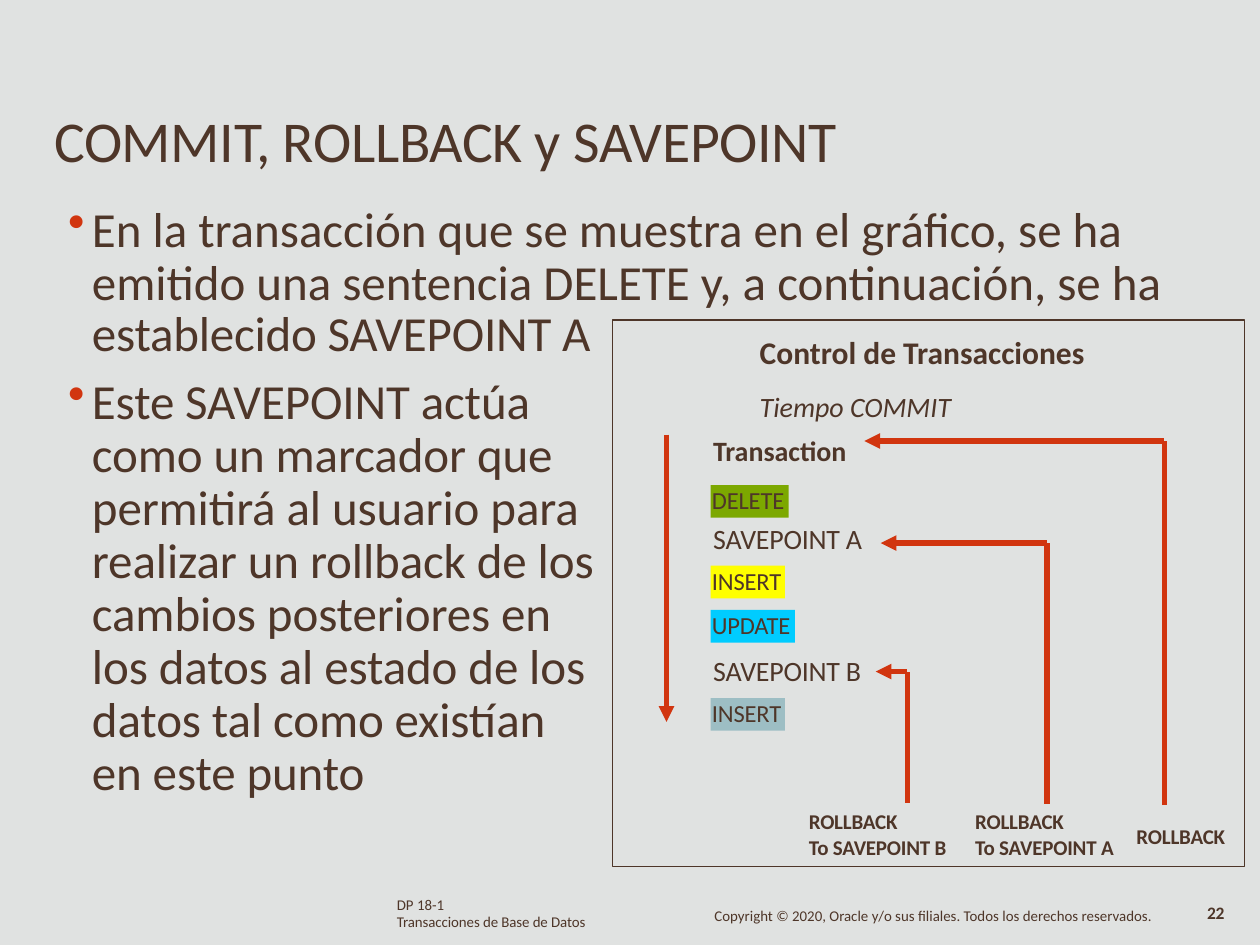
"""Build the slide on COMMIT, ROLLBACK and SAVEPOINT."""
import pptx
import pptx.dml.color
import pptx.enum.shapes
import pptx.enum.text
import pptx.oxml.ns
import pptx.util
from lxml import etree

Inches = pptx.util.Inches
Pt = pptx.util.Pt
qn = pptx.oxml.ns.qn

COLORS = {
    "back": "E0E2E1",
    "ink": "4E3629",
    "red": "D1350F",
    "green": "7CA800",
    "yellow": "FFFF00",
    "blue": "00CCFF",
    "gray": "9DBEC4",
}


def color(name):
    return pptx.dml.color.RGBColor.from_string(COLORS[name])


def setup(shape, inset):
    frame = shape.text_frame
    frame.word_wrap = True
    frame.vertical_anchor = pptx.enum.text.MSO_ANCHOR.TOP
    frame.margin_left = frame.margin_right = frame.margin_bottom = 0
    frame.margin_top = Inches(inset)
    return frame


def box(slide, at, inset=0.0):
    return setup(slide.shapes.add_textbox(*map(Inches, at)), inset)


def rect(slide, at, fill=None, line=None):
    kind = pptx.enum.shapes.MSO_SHAPE.RECTANGLE
    shape = slide.shapes.add_shape(kind, *map(Inches, at))
    shape.shadow.inherit = False
    if fill:
        shape.fill.solid()
        shape.fill.fore_color.rgb = color(fill)
    else:
        shape.fill.background()
    if line:
        shape.line.color.rgb = color(line)
        shape.line.width = Pt(0.72)
    else:
        shape.line.fill.background()
    return shape


def write(frame, text, size=16, bold=False, italic=False, left=0, before=0,
          lead=None, bullet=False, space=0):
    para = frame.paragraphs[0]
    if para.runs:
        para = frame.add_paragraph()
    para.alignment = pptx.enum.text.PP_ALIGN.LEFT
    props = para._p.get_or_add_pPr()
    props.set("marL", str(Inches(left)))
    props.set("indent", str(Inches(-0.19 if bullet else 0)))
    if bullet:
        tint = etree.SubElement(props, qn("a:buClr"))
        etree.SubElement(tint, qn("a:srgbClr")).set("val", COLORS["red"])
        etree.SubElement(props, qn("a:buChar")).set("char", "•")
    if before:
        para.space_before = Pt(before)
    if lead:
        para.line_spacing = Pt(lead)
    run = para.add_run()
    run.text = text
    font = run.font
    font.name = "Calibri"
    font.size = Pt(size)
    font.bold = bold
    font.italic = italic
    font.color.rgb = color("ink")
    run._r.get_or_add_rPr().set("spc", str(round(space * 100)))


def line(slide, start, end, arrow=False):
    kind = pptx.enum.shapes.MSO_CONNECTOR.STRAIGHT
    link = slide.shapes.add_connector(kind, *map(Inches, start + end))
    link.line.color.rgb = color("red")
    link.line.width = Pt(3)
    if arrow:
        tail = etree.SubElement(link.line._get_or_add_ln(), qn("a:tailEnd"))
        tail.set("type", "triangle")
    etree.SubElement(link._element.spPr, qn("a:effectLst"))


def route(slide, x, low, tip, y):
    line(slide, (x, low), (x, y))
    line(slide, (x, y), (tip, y), arrow=True)


def body(slide):
    write(box(slide, (0.43, 0.82, 8.54, 0.58), 0.01),
          "COMMIT, ROLLBACK y SAVEPOINT", size=33, space=-0.2)
    style = {"size": 28, "left": 0.2}
    write(box(slide, (0.53, 1.55, 8.72, 0.91), 0.07),
          "En la transacción que se muestra en el gráfico, se ha emitido "
          "una sentencia DELETE y, a continuación, se ha",
          lead=30.3, bullet=True, **style)
    frame = box(slide, (0.53, 2.32, 4.22, 4.03), 0.08)
    write(frame, "establecido SAVEPOINT A", space=-0.1, **style)
    write(frame, "Este SAVEPOINT actúa como un marcador que permitirá al "
          "usuario para realizar un rollback de los cambios posteriores en "
          "los datos al estado de los datos tal como existían en este punto",
          before=8.4, lead=30.3, bullet=True, space=-0.05, **style)


def chart(slide):
    rect(slide, (4.86, 2.54, 5.02, 4.34), line="ink")
    frame = box(slide, (4.88, 2.45, 3.74, 1.27), 0.19)
    write(frame, "Control de Transacciones", size=18, bold=True, left=1.15)
    write(frame, "Tiempo COMMIT", italic=True, left=1.15, before=11.1)
    write(frame, "Transaction", bold=True, left=0.78, before=5.8)

    for mark, top in (("A", 4.13), ("B", 5.18)):
        write(box(slide, (5.66, top, 1.22, 0.29), 0.01),
              f"SAVEPOINT {mark}", space=-0.1)
    for word, top, width, fill in (
            ("DELETE", 3.85, 0.62, "green"), ("INSERT", 4.49, 0.59, "yellow"),
            ("UPDATE", 4.84, 0.67, "blue"), ("INSERT", 5.54, 0.59, "gray")):
        chip = rect(slide, (5.64, top, width, 0.26), fill=fill)
        write(setup(chip, 0), word, size=14, left=0.01, space=-0.1)

    for x, top, width, lines in (
            (6.42, 6.41, 1.14, ("ROLLBACK", "To SAVEPOINT B")),
            (7.74, 6.41, 1.14, ("ROLLBACK", "To SAVEPOINT A")),
            (9.02, 6.53, 0.73, ("ROLLBACK",))):
        frame = box(slide, (x, top, width, 0.22 * len(lines)), 0.01)
        for text in lines:
            write(frame, text, size=12, bold=True, space=-0.1)

    for x, low, tip, y in ((7.2, 6.37, 6.95, 5.33), (8.31, 6.38, 6.99, 4.31),
                           (9.24, 6.39, 6.86, 3.5)):
        route(slide, x, low, tip, y)
    line(slide, (5.29, 3.45), (5.29, 5.73), arrow=True)


def footer(slide):
    frame = box(slide, (3.14, 7.13, 1.56, 0.27))
    write(frame, "DP 18-1", size=8.5, left=0.01, lead=8.6)
    write(frame, "Transacciones de Base de Datos", size=8.5, left=0.01,
          lead=9.7, space=-0.05)
    write(box(slide, (5.66, 7.21, 3.52, 0.15)),
          "Copyright © 2020, Oracle y/o sus filiales. "
          "Todos los derechos reservados.", size=8.5, left=0.01, lead=9.1)
    write(box(slide, (9.54, 7.18, 0.24, 0.17)), "22", size=10, bold=True,
          left=0.04, lead=10.4, space=-0.2)


def main():
    deck = pptx.Presentation()
    deck.slide_width = Inches(10)
    deck.slide_height = Inches(7.5)
    slide = deck.slides.add_slide(deck.slide_layouts[6])
    slide.background.fill.solid()
    slide.background.fill.fore_color.rgb = color("back")
    body(slide)
    chart(slide)
    footer(slide)
    deck.save("out.pptx")


if __name__ == "__main__":
    main()
